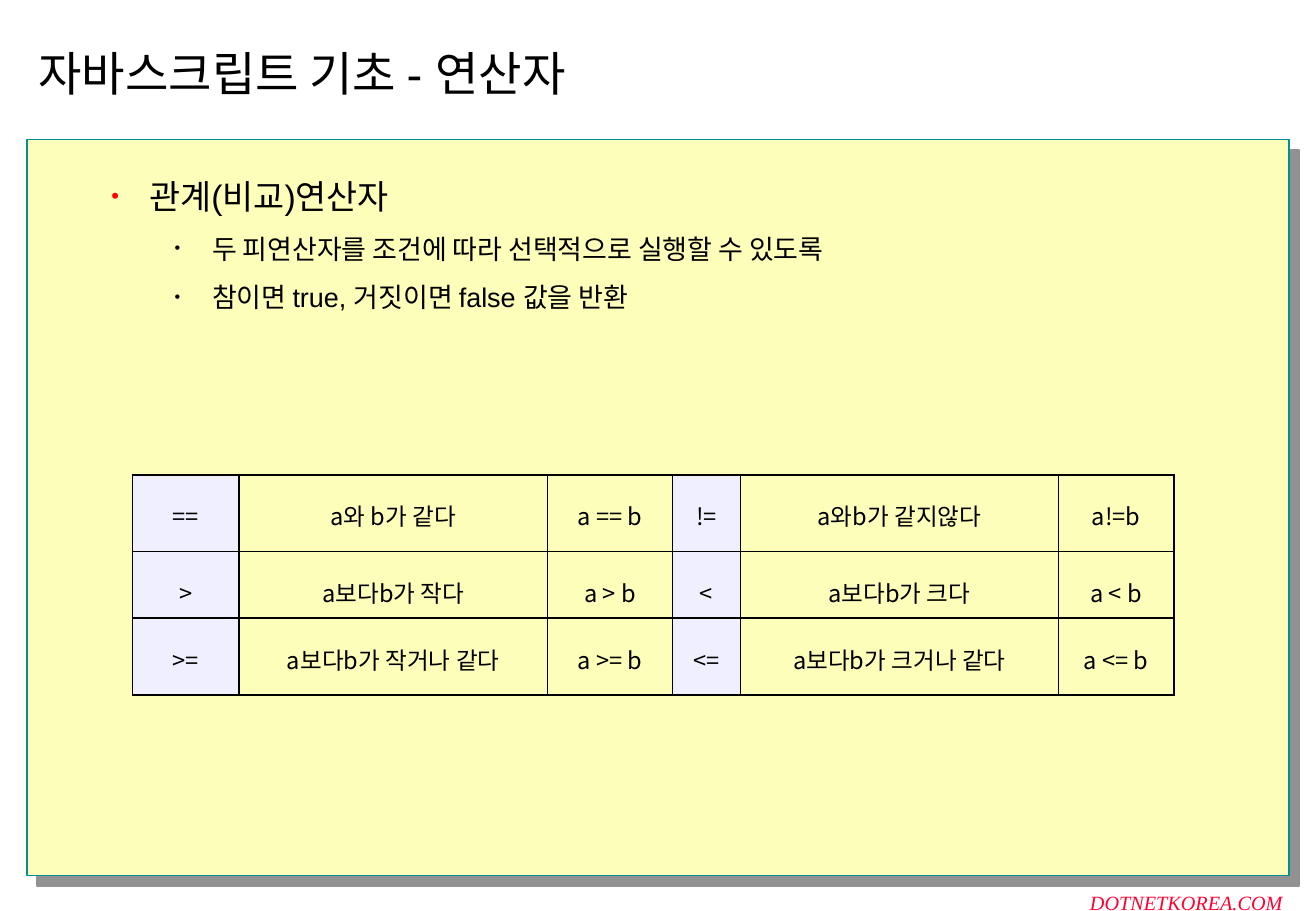
from lxml import etree
from pptx import Presentation
from pptx.dml.color import RGBColor
from pptx.enum.shapes import MSO_SHAPE
from pptx.enum.text import MSO_ANCHOR, PP_ALIGN
from pptx.oxml.ns import qn
from pptx.util import Pt

EMU_PER_PX = 9144  # 100 px to the inch
RECTANGLE = MSO_SHAPE.RECTANGLE
TOP, MIDDLE = MSO_ANCHOR.TOP, MSO_ANCHOR.MIDDLE
LEFT, CENTER = PP_ALIGN.LEFT, PP_ALIGN.CENTER

BLACK, RED = "000000", "FF0000"
OPERATOR_FILL = "EFEFFF"
OPERATOR_COLUMNS = (0, 3)
COLUMN_WIDTHS = (88, 254, 103, 56, 262, 95)
ROW_HEIGHTS = (63, 55, 63)
COMPARISONS = (
    ("==", "a와 b가 같다", "a == b", "!=", "a와b가 같지않다", "a!=b"),
    (">", "a보다b가 작다", "a > b", "<", "a보다b가 크다", "a < b"),
    (">=", "a보다b가 작거나 같다", "a >= b", "<=", "a보다b가 크거나 같다", "a <= b"),
)
# text, size, left margin, bullet colour, bullet size in percent
OUTLINE = (
    ("관계(비교)연산자", 20, 83, RED, 65),
    ("두 피연산자를 조건에 따라 선택적으로 실행할 수 있도록", 16, 135, BLACK, 60),
    ("참이면 true, 거짓이면 false 값을 반환", 16, 135, BLACK, 60),
)


def px(length):
    return length * EMU_PER_PX


def rgb(colour):
    return RGBColor.from_string(colour)


def add_xml(parent, tag, **attributes):
    values = {name: str(value) for name, value in attributes.items()}
    return etree.SubElement(parent, qn(tag), values)


class OperatorSlide:
    font = "Arial"
    table_font = "Noto Sans CJK KR"
    footer_font = "Times New Roman"
    bullet_indent = 31

    def __init__(self, presentation):
        self.slide = presentation.slides.add_slide(presentation.slide_layouts[6])

    def panel(self, left, top, width, height, fill, line, shadow):
        panel = self.slide.shapes.add_shape(
            RECTANGLE, px(left), px(top), px(width), px(height))
        panel.fill.solid()
        panel.fill.fore_color.rgb = rgb(fill)
        panel.line.color.rgb = rgb(line)
        panel.line.width = Pt(1)
        panel.shadow.inherit = False
        effects = panel._element.spPr.find(qn("a:effectLst"))
        cast = add_xml(effects, "a:outerShdw", blurRad=0, dist=Pt(8.5),
                       dir=45 * 60000, algn="tl", rotWithShape=0)
        add_xml(cast, "a:srgbClr", val=shadow)

    def text_frame(self, left, top, width, height, anchor=TOP):
        frame = self.slide.shapes.add_textbox(
            px(left), px(top), px(width), px(height)).text_frame
        frame.word_wrap = True
        frame.vertical_anchor = anchor
        return frame

    def add_text(self, paragraph, text, size, spacing, font=font, colour=BLACK,
                 align=LEFT, italic=False):
        paragraph.alignment = align
        paragraph.line_spacing = spacing
        run = paragraph.add_run()
        run.text = text
        run.font.name = font
        run.font.size = Pt(size)
        run.font.italic = italic
        run.font.color.rgb = rgb(colour)

    def title(self, text):
        frame = self.text_frame(22, 17, 1040, 92, MIDDLE)
        self.add_text(frame.paragraphs[0], text, 28, 0.9)

    def footer(self, text):
        frame = self.text_frame(888, 714, 189, 44)
        self.add_text(frame.paragraphs[0], text, 12, 1.7, self.footer_font,
                      "FF0033", italic=True)

    def bullet(self, paragraph, margin, colour, percent):
        properties = paragraph._p.get_or_add_pPr()
        properties.set("marL", str(px(margin)))
        properties.set("indent", str(px(-self.bullet_indent)))
        add_xml(add_xml(properties, "a:buClr"), "a:srgbClr", val=colour)
        add_xml(properties, "a:buSzPct", val=percent * 1000)
        add_xml(properties, "a:buFont", typeface=self.font)
        add_xml(properties, "a:buChar", char="•")

    def outline(self, items):
        frame = self.text_frame(30, 123, 1024, 590)
        for index, (text, size, margin, colour, percent) in enumerate(items):
            paragraph = frame.add_paragraph() if index else frame.paragraphs[0]
            self.bullet(paragraph, margin, colour, percent)
            self.add_text(paragraph, text, size, 1.5)

    def cell_borders(self, cell):
        """Draw the four edges; they must precede the fill in the cell's XML."""
        properties = cell._tc.get_or_add_tcPr()
        for edge in ("a:lnL", "a:lnR", "a:lnT", "a:lnB"):
            line = add_xml(properties, edge, w=Pt(1.08))
            add_xml(add_xml(line, "a:solidFill"), "a:srgbClr", val=BLACK)

    def comparison_table(self, left, top, rows):
        table = self.slide.shapes.add_table(
            len(rows), len(COLUMN_WIDTHS), px(left), px(top),
            px(sum(COLUMN_WIDTHS)), px(sum(ROW_HEIGHTS))).table
        table.first_row = table.horz_banding = False
        for column, width in zip(table.columns, COLUMN_WIDTHS):
            column.width = px(width)
        for row, height, texts in zip(table.rows, ROW_HEIGHTS, rows):
            row.height = px(height)
            for index, (cell, text) in enumerate(zip(row.cells, texts)):
                self.cell_borders(cell)
                if index in OPERATOR_COLUMNS:
                    cell.fill.solid()
                    cell.fill.fore_color.rgb = rgb(OPERATOR_FILL)
                else:
                    cell.fill.background()
                self.add_text(cell.text_frame.paragraphs[0], text, 14, 1.5,
                              self.table_font, align=CENTER)


def main():
    presentation = Presentation()
    presentation.slide_width = px(1084)
    presentation.slide_height = px(750)
    slide = OperatorSlide(presentation)
    slide.panel(22, 115, 1040, 606, "FCFEB9", "009094", "919191")
    slide.footer("DOTNETKOREA.COM")
    slide.title("자바스크립트 기초 - 연산자")
    slide.outline(OUTLINE)
    slide.comparison_table(109, 391, COMPARISONS)
    presentation.save("out.pptx")


if __name__ == "__main__":
    main()
